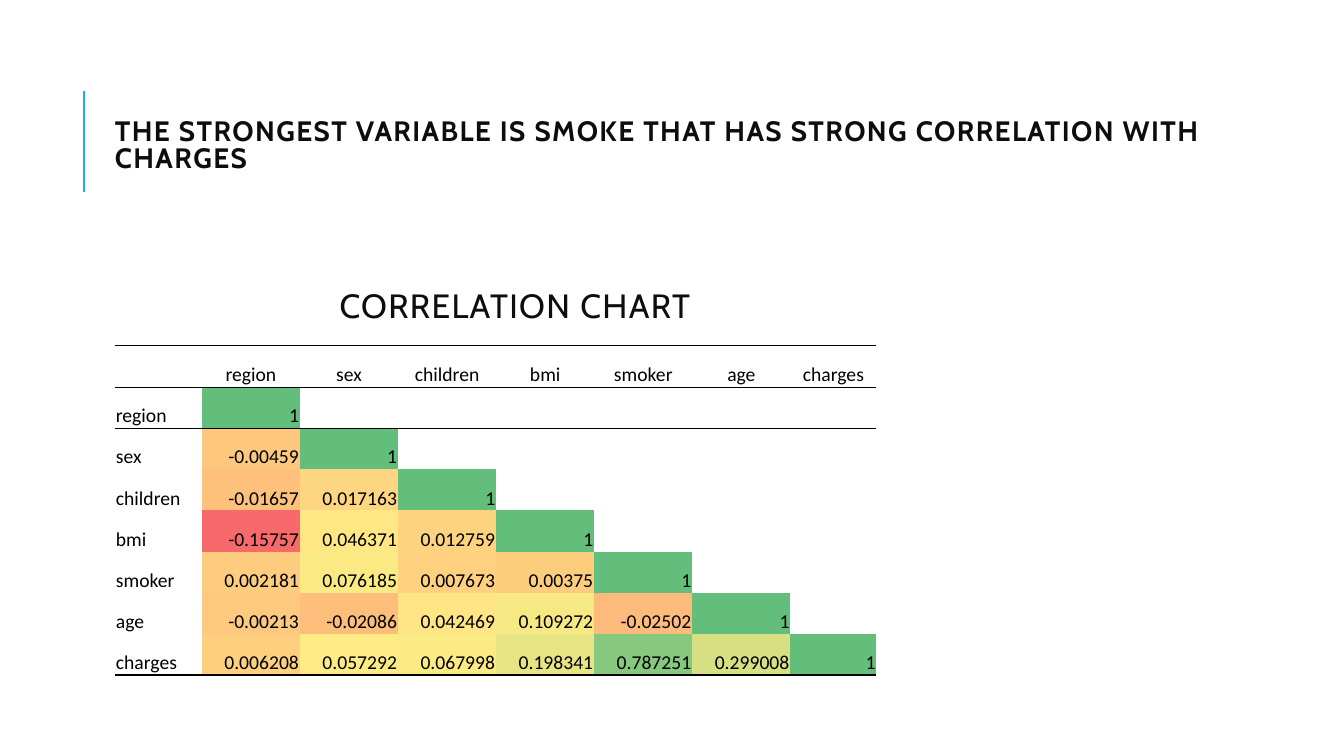
from lxml.etree import SubElement
from pptx import Presentation
from pptx.dml.color import RGBColor
from pptx.enum.shapes import MSO_CONNECTOR as Connector
from pptx.enum.text import MSO_ANCHOR as Anchor, MSO_AUTO_SIZE as AutoSize, PP_ALIGN as Align
from pptx.oxml.ns import qn
from pptx.util import Inches, Pt

COLORS = {"accent": "1CADE4", "heading": "0D0D0D", "ink": "000000",
          "low": "F8696B", "middle": "FFEB84", "high": "63BE7B"}
PLAIN_TABLE_STYLE = "{2D5ABB26-0587-4C30-8999-92F81FD0307C}"

VARIABLES = ["region", "sex", "children", "bmi", "smoker", "age", "charges"]
CORRELATIONS = [
    ["1"],
    ["-0.00459", "1"],
    ["-0.01657", "0.017163", "1"],
    ["-0.15757", "0.046371", "0.012759", "1"],
    ["0.002181", "0.076185", "0.007673", "0.00375", "1"],
    ["-0.00213", "-0.02086", "0.042469", "0.109272", "-0.02502", "1"],
    ["0.006208", "0.057292", "0.067998", "0.198341", "0.787251", "0.299008", "1"],
]


def assign(target, values):
    for name, value in values.items():
        setattr(target, name, value)


def color_scale(values):
    """Return a function giving the low-median-high colour of a value."""
    ordered = sorted(values)
    half = len(ordered) // 2
    median = (ordered[half] + ordered[-half - 1]) / 2
    low, middle, high = (RGBColor.from_string(COLORS[name])
                         for name in ("low", "middle", "high"))

    def pick(value):
        if value < median:
            start, end, share = low, middle, (value - ordered[0]) / (median - ordered[0])
        else:
            start, end, share = middle, high, (value - median) / (ordered[-1] - median)
        return RGBColor(*(round(a + (b - a) * share) for a, b in zip(start, end)))

    return pick


class SlideBuilder:
    """Places elements on a grid of 160 columns by 90 rows."""
    heading = {"name": "Cabin"}
    body = {"name": "Calibri", "size": Pt(14)}

    def __init__(self, presentation):
        self.slide = presentation.slides.add_slide(presentation.slide_layouts[6])
        self.column = presentation.slide_width / 160
        self.row = presentation.slide_height / 90

    def place(self, left, top, width, height):
        return (round(left * self.column), round(top * self.row),
                round(width * self.column), round(height * self.row))

    def line(self, x1, y1, x2, y2, color, width):
        connector = self.slide.shapes.add_connector(
            Connector.STRAIGHT, *self.place(x1, y1, x2, y2))
        connector.line.color.rgb = RGBColor.from_string(color)
        connector.line.width = Pt(width)
        SubElement(connector._element.spPr, qn("a:effectLst"))

    def add_text(self, frame, text, font, color, align=Align.LEFT):
        paragraph = frame.paragraphs[0]
        paragraph.alignment = align
        run = paragraph.add_run()
        run.text = text
        assign(run.font, font)
        run.font.color.rgb = RGBColor.from_string(color)
        return paragraph, run

    def heading_text(self, box, text, font, frame_format):
        frame = self.slide.shapes.add_textbox(*self.place(*box)).text_frame
        assign(frame, {"word_wrap": True, **frame_format})
        paragraph, run = self.add_text(frame, text, {**self.heading, **font},
                                       COLORS["heading"])
        paragraph.line_spacing = 0.8
        run._r.get_or_add_rPr().set("spc", "100")

    def border(self, cell, side, width):
        line = SubElement(cell._tc.get_or_add_tcPr(), qn(f"a:ln{side}"), w=str(Pt(width)))
        fill = SubElement(line, qn("a:solidFill"))
        SubElement(fill, qn("a:srgbClr"), val=COLORS["ink"])

    def table(self, left, top, widths, row_height, rows, pick_color):
        box = self.place(left, top, sum(widths), row_height * len(rows))
        table = self.slide.shapes.add_table(len(rows), len(widths), *box).table
        table._tbl.tblPr.find(qn("a:tableStyleId")).text = PLAIN_TABLE_STYLE
        assign(table, {"first_row": False, "horz_banding": False})
        for column, width in zip(table.columns, widths):
            column.width = round(width * self.column)
        for r, values in enumerate(rows):
            table.rows[r].height = round(row_height * self.row)
            for c in range(len(widths)):
                text = values[c] if c < len(values) else ""
                self.cell(table.cell(r, c), r, c, len(rows) - 1, text, pick_color)

    def cell(self, cell, r, c, last_row, text, pick_color):
        inset = Inches(0.01)
        assign(cell, {"margin_left": inset, "margin_right": inset, "margin_top": inset,
                      "margin_bottom": 0, "vertical_anchor": Anchor.BOTTOM})
        # Rules above and below the header and under the last row
        if r < 2:
            self.border(cell, "T", 0.5 if r else 1)
        if r in (0, last_row):
            self.border(cell, "B", 1 if r else 0.5)
        # Only correlations are coloured
        if r and c and text:
            cell.fill.solid()
            cell.fill.fore_color.rgb = pick_color(float(text))
        else:
            cell.fill.background()
        if text:
            align = Align.CENTER if r == 0 else Align.RIGHT if c else Align.LEFT
            self.add_text(cell.text_frame, text, self.body, COLORS["ink"], align)


def main():
    presentation = Presentation()
    assign(presentation, {"slide_width": Inches(13.33), "slide_height": Inches(7.5)})
    builder = SlideBuilder(presentation)

    # Accent rule beside the title
    builder.line(10, 22.8, 10, 10.8, COLORS["accent"], 1.5)

    # Table caption
    builder.heading_text((39.24, 28.56, 77.64, 16.44), "CORRELATION CHART",
                         {"size": Pt(24)}, {"vertical_anchor": Anchor.MIDDLE})

    # Correlation matrix
    rows = [[""] + VARIABLES]
    rows += [[name] + values for name, values in zip(VARIABLES, CORRELATIONS)]
    scale = color_scale([float(value) for values in CORRELATIONS for value in values])
    builder.table(13.68, 41.16, [10.36] + [11.68] * 6 + [10.24], 4.9, rows, scale)

    # Title
    builder.heading_text(
        (13.68, 14.28, 131.64, 3.24),
        "THE STRONGEST VARIABLE IS SMOKE THAT HAS STRONG CORRELATION WITH CHARGES",
        {"size": Pt(20), "bold": True},
        {"margin_left": 0, "margin_right": 0, "margin_top": 0, "margin_bottom": 0,
         "vertical_anchor": Anchor.TOP, "auto_size": AutoSize.SHAPE_TO_FIT_TEXT})

    presentation.save("out.pptx")


if __name__ == "__main__":
    main()
